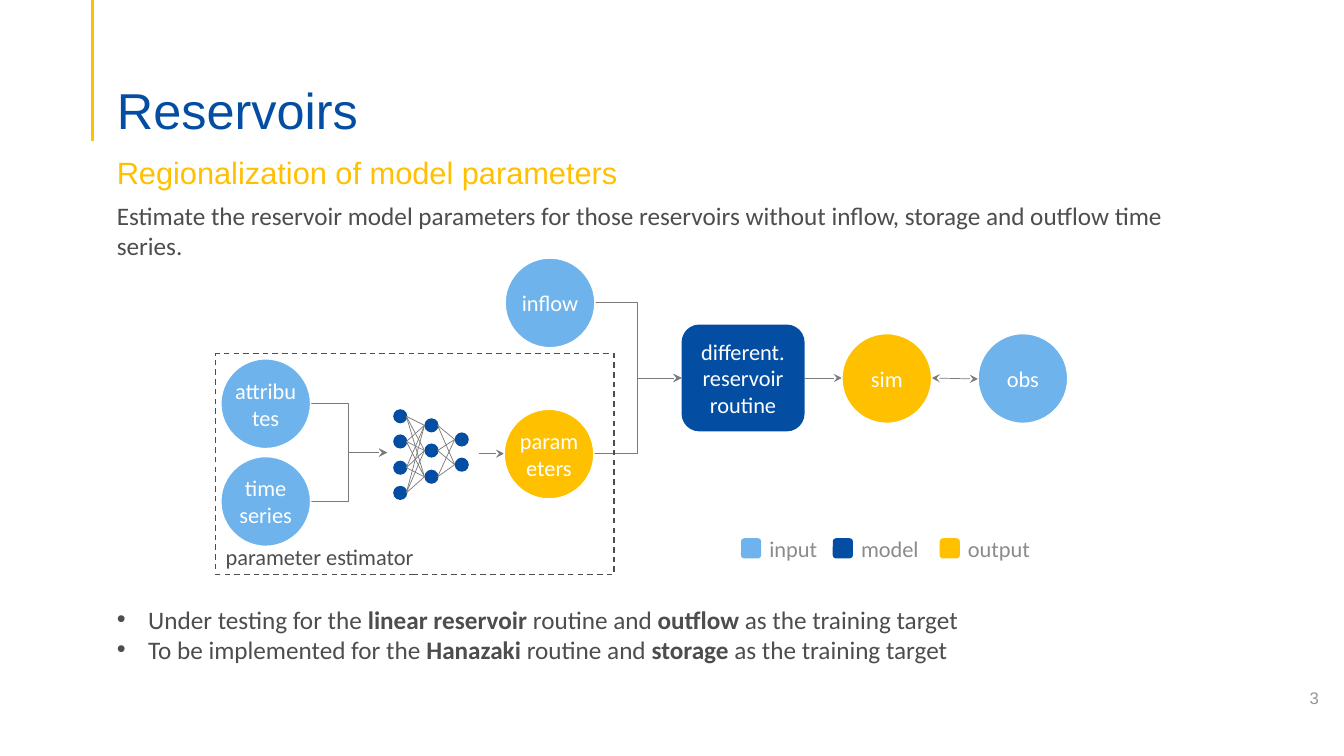
from lxml import etree
from pptx import Presentation
from pptx import util as u
from pptx.dml.color import RGBColor
from pptx.enum import dml, shapes, text
from pptx.oxml import ns

PX = u.Inches(1) // 100
BLUE, SKY, YELLOW, WHITE = "034EA2", "6EB3EB", "FFC000", "FFFFFF"
DARK, GREY, LABEL = "4D4D4D", "7A7A7A", "8B8B8B"
OVAL, ROUNDED = shapes.MSO_SHAPE.OVAL, shapes.MSO_SHAPE.ROUNDED_RECTANGLE
STRAIGHT, ELBOW = shapes.MSO_CONNECTOR.STRAIGHT, shapes.MSO_CONNECTOR.ELBOW
LEFT, CENTER = text.PP_ALIGN.LEFT, text.PP_ALIGN.CENTER
TOP, MIDDLE, BOTTOM = text.MSO_ANCHOR.TOP, text.MSO_ANCHOR.MIDDLE, text.MSO_ANCHOR.BOTTOM

deck = Presentation()
deck.slide_width, deck.slide_height = u.Inches(13.33), u.Inches(7.5)
slide = deck.slides.add_slide(deck.slide_layouts[1])


def write(frame, lines, size, colour, font="Calibri", align=LEFT, anchor=TOP, inset=(10, 5, 10, 5)):
    frame.word_wrap = True
    frame.auto_size = text.MSO_AUTO_SIZE.NONE
    frame.vertical_anchor = anchor
    frame.margin_left, frame.margin_top, frame.margin_right, frame.margin_bottom = [v * PX for v in inset]
    for number, runs in enumerate(lines):
        paragraph = frame.add_paragraph() if number else frame.paragraphs[0]
        paragraph.alignment = align
        paragraph.space_before = u.Pt(0)
        for words, bold in runs:
            run = paragraph.add_run()
            run.text = words
            run.font.name, run.font.size, run.font.bold = font, u.Pt(size), bold
            run.font.color.rgb = RGBColor.from_string(colour)


def block(preset, box, fill=None, outline=None):
    shape = slide.shapes.add_shape(preset, *[v * PX for v in box])
    shape.shadow.inherit = False
    if fill:
        shape.fill.solid()
        shape.fill.fore_color.rgb = RGBColor.from_string(fill)
    else:
        shape.fill.background()
    if outline:
        shape.line.color.rgb = RGBColor.from_string(outline)
        shape.line.width = u.Pt(1)
    else:
        shape.line.fill.background()
    return shape


title, body = slide.placeholders
title.left, title.top, title.width, title.height = [v * PX for v in (106, 53, 1150, 86)]
write(title.text_frame, [[("Reservoirs", False)]], 36, BLUE, "Arial", anchor=BOTTOM, inset=(10, 5, 10, 0))
title.text_frame.paragraphs[0].line_spacing = 0.9

captions = [
    ((1289, 672, 31, 40), "3", 12, "979797", "Arial", MIDDLE),
    ((106, 148, 1008, 47), "Regionalization of model parameters", 22, YELLOW, "Arial", TOP),
    ((106, 194, 1121, 40), "Estimate the reservoir model parameters for those reservoirs without inflow, "
     "storage and outflow time series.", 18, DARK, "Calibri", TOP),
]
for box, words, size, colour, font, anchor in captions:
    caption = slide.shapes.add_textbox(*[v * PX for v in box])
    write(caption.text_frame, [[(words, False)]], size, colour, font, anchor=anchor)

DOT = 14
layers = []
for left, top, count in [(390, 406, 4), (421, 415, 3), (451, 429, 2)]:
    tops = [top + row * 51 // 2 for row in range(count)]
    layers.append((left, tops))
    for y in tops:
        block(OVAL, (left, y, DOT, DOT), BLUE)

links = [
    (STRAIGHT, (92, 0, 92, 140), YELLOW, 2.25, []),
    (STRAIGHT, (475, 450, 500, 450), GREY, 0.5, ["tailEnd"]),
    (ELBOW, (588, 450, 676, 375), GREY, 0.5, ["tailEnd"]),
    (ELBOW, (589, 300, 676, 375), GREY, 0.5, ["tailEnd"]),
    (STRAIGHT, (798, 375, 835, 375), GREY, 0.5, ["tailEnd"]),
    (STRAIGHT, (924, 375, 970, 376), GREY, 0.5, ["headEnd", "tailEnd"]),
    (ELBOW, (307, 400, 384, 449), GREY, 0.5, ["tailEnd"]),
    (ELBOW, (307, 497, 384, 449), GREY, 0.5, ["tailEnd"]),
]
for (left, starts), (right, stops) in zip(layers, layers[1:]):
    links += [(STRAIGHT, (left + DOT - 1, a + DOT // 2, right, b + DOT // 2), GREY, 0.5, [])
              for a in starts for b in stops]
for kind, ends, colour, width, heads in links:
    link = slide.shapes.add_connector(kind, *[v * PX for v in ends])
    link.line.color.rgb = RGBColor.from_string(colour)
    link.line.width = u.Pt(width)
    for head in heads:
        etree.SubElement(link.line._get_or_add_ln(), ns.qn("a:" + head), type="stealth")
    etree.SubElement(link._element.spPr, ns.qn("a:effectLst"))

nodes = [
    (ROUNDED, (676, 322, 122, 106), BLUE, None, ["different. reservoir routine"]),
    (OVAL, (501, 256, 89, 89), SKY, WHITE, ["inflow"]),
    (OVAL, (500, 406, 89, 89), YELLOW, WHITE, ["parameters"]),
    (OVAL, (835, 331, 89, 89), YELLOW, WHITE, ["sim"]),
    (OVAL, (970, 331, 89, 89), SKY, WHITE, ["obs"]),
    (OVAL, (219, 356, 89, 89), SKY, WHITE, ["attributes"]),
    (OVAL, (219, 453, 89, 89), SKY, WHITE, ["time", "series"]),
]
for preset, box, fill, outline, lines in nodes:
    node = block(preset, box, fill, outline)
    write(node.text_frame, [[(line, False)] for line in lines], 16, WHITE,
          align=CENTER, anchor=MIDDLE, inset=(0, 0, 0, 0))

for left, role, colour in [(735, "input", SKY), (826, "model", BLUE), (932, "output", YELLOW)]:
    block(ROUNDED, (left, 534, 20, 20), colour)
    key = slide.shapes.add_textbox(*[v * PX for v in (left + 28, 531, 66, 27)])
    write(key.text_frame, [[(role, False)]], 16, LABEL, anchor=MIDDLE, inset=(0, 0, 0, 0))

estimator = block(shapes.MSO_SHAPE.RECTANGLE, (214, 351, 395, 219), outline=DARK)
estimator.line.dash_style = dml.MSO_LINE.DASH
write(estimator.text_frame, [[("parameter estimator", False)]], 16, DARK, anchor=BOTTOM)

body.left, body.top, body.width, body.height = [v * PX for v in (106, 594, 1008, 71)]
write(body.text_frame, [
    [("Under testing for the ", False), ("linear reservoir", True), (" routine and ", False),
     ("outflow", True), (" as the training target", False)],
    [("To be implemented for the ", False), ("Hanazaki", True), (" routine and ", False),
     ("storage ", True), ("as the training target", False)],
], 18, DARK)
for item in body.text_frame.paragraphs:
    properties = item._p.get_or_add_pPr()
    properties.set("marL", str(31 * PX))
    properties.set("indent", str(-31 * PX))
    etree.SubElement(properties, ns.qn("a:buChar"), char="•")

deck.save("out.pptx")
